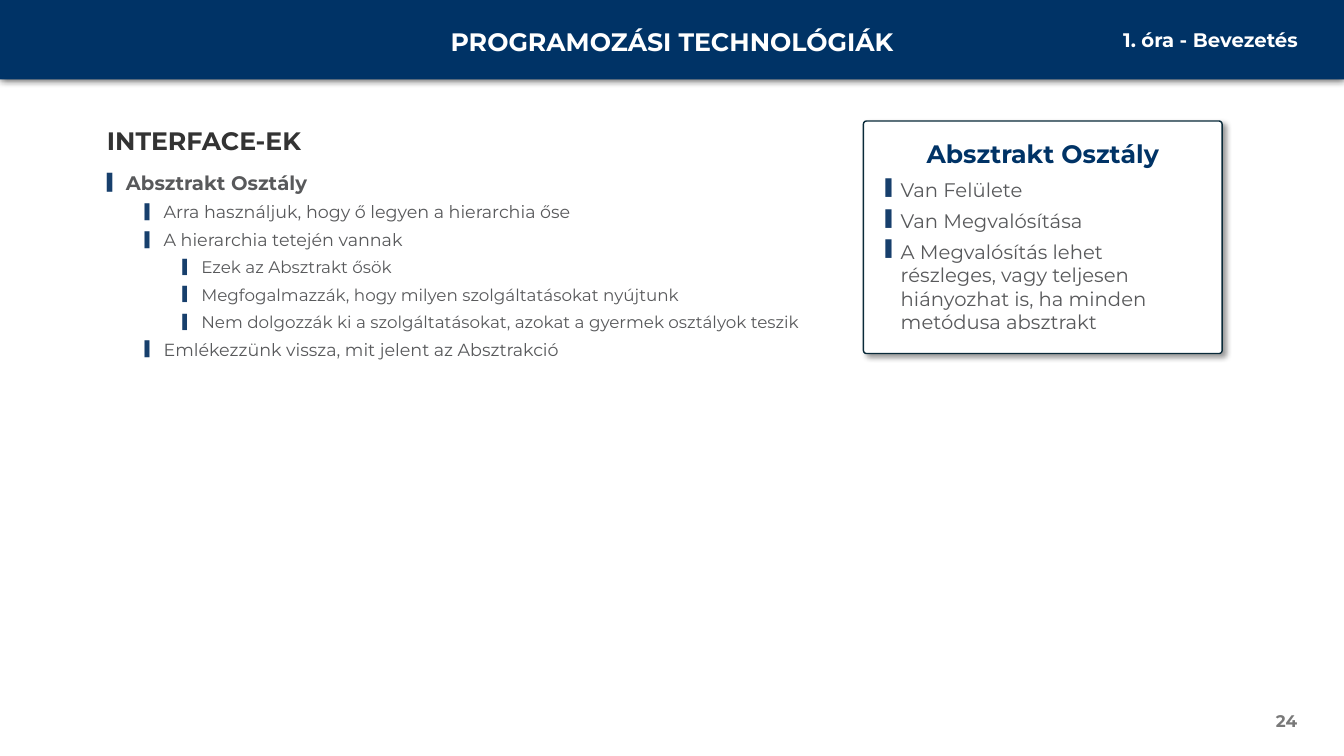
from lxml import etree
from pptx import Presentation
from pptx.dml.color import RGBColor
from pptx.enum.shapes import MSO_SHAPE
from pptx.enum.text import MSO_ANCHOR, MSO_AUTO_SIZE, PP_ALIGN
from pptx.oxml.ns import qn
from pptx.util import Cm, Pt

NAVY = RGBColor(0x00, 0x33, 0x66)
BULLET_BLUE = RGBColor(0x17, 0x3F, 0x6C)
OUTLINE = RGBColor(0x09, 0x2A, 0x39)
HEADING = RGBColor(0x33, 0x33, 0x33)
BODY_GREY = RGBColor(0x58, 0x59, 0x5B)
NUMBER_GREY = RGBColor(0x79, 0x79, 0x79)
WHITE = RGBColor(0xFF, 0xFF, 0xFF)
BLACK = RGBColor(0x00, 0x00, 0x00)

LEFT, CENTER, RIGHT = PP_ALIGN.LEFT, PP_ALIGN.CENTER, PP_ALIGN.RIGHT
TOP, MIDDLE = MSO_ANCHOR.TOP, MSO_ANCHOR.MIDDLE
NO_AUTOSIZE = MSO_AUTO_SIZE.NONE
RECTANGLE, ROUNDED = MSO_SHAPE.RECTANGLE, MSO_SHAPE.ROUNDED_RECTANGLE

FONT = "Montserrat"
LEVEL_SIZES = (14, 12.5, 12)
LEVEL_STEP = 0.95

MAIN_POINTS = [
    (0, "Absztrakt Osztály", True),
    (1, "Arra használjuk, hogy ő legyen a hierarchia őse", False),
    (1, "A hierarchia tetején vannak", False),
    (2, "Ezek az Absztrakt ősök", False),
    (2, "Megfogalmazzák, hogy milyen szolgáltatásokat nyújtunk", False),
    (2, "Nem dolgozzák ki a szolgáltatásokat, azokat a gyermek osztályok teszik", False),
    (1, "Emlékezzünk vissza, mit jelent az Absztrakció", False),
]
CARD_POINTS = [
    (0, "Van Felülete", False),
    (0, "Van Megvalósítása", False),
    (0, "A Megvalósítás lehet részleges, vagy teljesen hiányozhat is, "
        "ha minden metódusa absztrakt", False),
]


def place(shape, left, top, width, height):
    shape.left, shape.top = Cm(left), Cm(top)
    shape.width, shape.height = Cm(width), Cm(height)


def add_box(page, left, top, width, height):
    return page.shapes.add_textbox(Cm(left), Cm(top), Cm(width), Cm(height))


def prepare_frame(box, anchor=TOP):
    frame = box.text_frame
    frame.word_wrap = True
    frame.auto_size = NO_AUTOSIZE
    frame.vertical_anchor = anchor
    return frame


def add_run(para, text, size, color, bold):
    span = para.add_run()
    span.text = text
    span.font.name = FONT
    span.font.size = Pt(size)
    span.font.bold = bold
    span.font.color.rgb = color


def write_line(box, text, size, color, align=LEFT, anchor=TOP):
    """Fill the box with one bold line."""
    para = prepare_frame(box, anchor).paragraphs[0]
    para.alignment = align
    add_run(para, text, size, color, True)


def add_bullet(para, margin, hanging):
    properties = para._p.get_or_add_pPr()
    properties.set("marL", str(Cm(margin)))
    properties.set("indent", str(-Cm(hanging)))
    color = etree.SubElement(properties, qn("a:buClr"))
    etree.SubElement(color, qn("a:srgbClr"), val=str(BULLET_BLUE))
    etree.SubElement(properties, qn("a:buSzPct"), val="80000")
    etree.SubElement(properties, qn("a:buChar"), char="▌")


def write_list(box, points, hanging):
    frame = prepare_frame(box)
    for index, (level, text, bold) in enumerate(points):
        para = frame.add_paragraph() if index else frame.paragraphs[0]
        add_bullet(para, hanging + level * LEVEL_STEP, hanging)
        para.level = level
        para.alignment = LEFT
        para.space_before = Pt(3 if index else 0)
        para.space_after = Pt(2)
        add_run(para, text, LEVEL_SIZES[level], BODY_GREY, bold)


def add_panel(page, kind, left, top, width, height, fill):
    panel = page.shapes.add_shape(kind, Cm(left), Cm(top), Cm(width), Cm(height))
    panel.fill.solid()
    panel.fill.fore_color.rgb = fill
    panel.line.fill.background()
    return panel


def add_shadow(shape, opacity, blur, distance, angle):
    """Give the shape an outer shadow: percent, points, points, degrees."""
    shape.shadow.inherit = False
    effects = shape._element.spPr.find(qn("a:effectLst"))
    shadow = etree.SubElement(
        effects, qn("a:outerShdw"), blurRad=str(Pt(blur)), dist=str(Pt(distance)),
        dir=str(angle * 60000), algn="t" if angle == 90 else "tl", rotWithShape="0")
    color = etree.SubElement(shadow, qn("a:srgbClr"), val=str(BLACK))
    etree.SubElement(color, qn("a:alpha"), val=str(opacity * 1000))


def add_header(page):
    band = add_panel(page, RECTANGLE, 0, 0, 33.87, 2, NAVY)
    add_shadow(band, 80, 6, 0, 90)
    write_line(add_box(page, 10.31, 0.54, 13.25, 1.02),
               "PROGRAMOZÁSI TECHNOLÓGIÁK", 18, WHITE, CENTER)
    write_line(add_box(page, 26.1, 0.58, 6.86, 0.86),
               "1. óra - Bevezetés", 14, WHITE, RIGHT)


def add_card(page):
    card = add_panel(page, ROUNDED, 21.76, 3.05, 9.04, 5.86, WHITE)
    card.adjustments[0] = 0.013
    card.line.color.rgb = OUTLINE
    card.line.width = Pt(1)
    add_shadow(card, 40, 4, 3, 45)
    write_line(add_box(page, 21.76, 3.35, 9.04, 1.02),
               "Absztrakt Osztály", 18, NAVY, CENTER)
    write_list(add_box(page, 22.07, 4.37, 8.41, 4.52), CARD_POINTS, 0.38)


def main():
    deck = Presentation()
    deck.slide_width, deck.slide_height = Cm(33.87), Cm(19.05)
    page = deck.slides.add_slide(deck.slide_layouts[1])

    title, body = page.shapes.title, page.placeholders[1]
    place(title, 2.44, 3.02, 9.04, 1.02)
    write_line(title, "INTERFACE-EK", 18, HEADING)
    place(body, 2.44, 4.17, 30.53, 5.36)
    write_list(body, MAIN_POINTS, 0.48)

    add_header(page)
    add_card(page)
    write_line(add_box(page, 25.32, 17.65, 7.62, 1.02),
               "24", 12, NUMBER_GREY, RIGHT, MIDDLE)
    deck.save("out.pptx")


if __name__ == "__main__":
    main()
